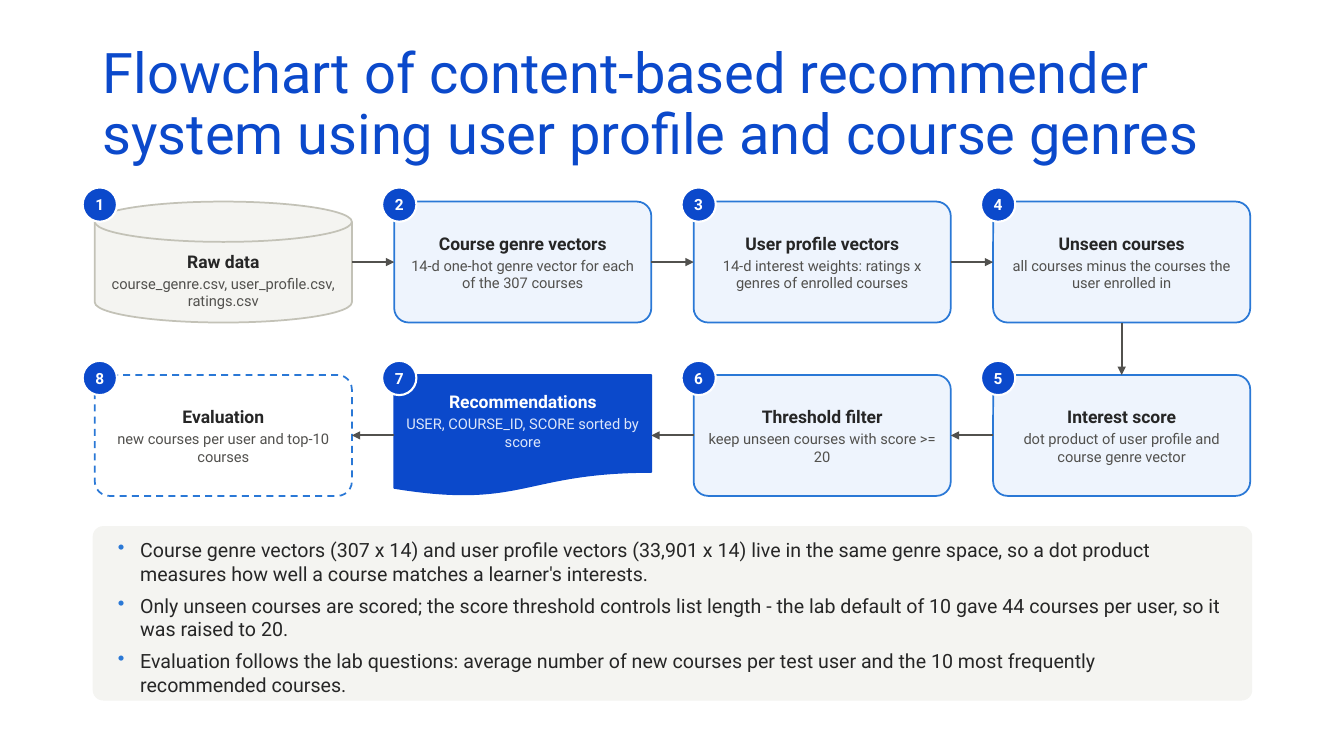
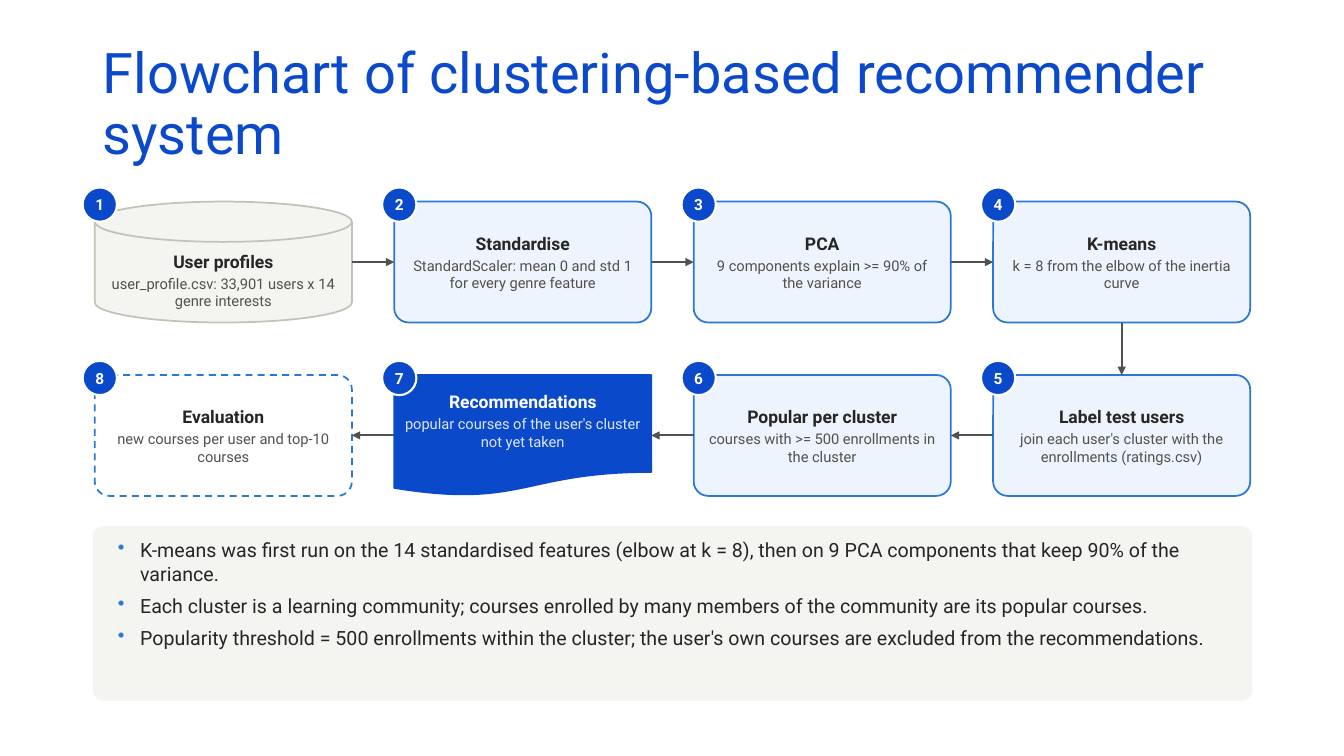
from dataclasses import dataclass
from typing import Optional

from lxml.etree import SubElement
from pptx import Presentation
from pptx.dml.color import RGBColor
from pptx.enum.dml import MSO_LINE
from pptx.enum.shapes import MSO_CONNECTOR as Connector, MSO_SHAPE as Shape
from pptx.enum.text import MSO_ANCHOR as Anchor, MSO_AUTO_SIZE as AutoSize, PP_ALIGN as Align
from pptx.oxml.ns import qn
from pptx.util import Inches, Pt

# Shared look
FONT = "Roboto"
BLUE = RGBColor(0x0B, 0x49, 0xCB)
MID_BLUE = RGBColor(0x2A, 0x78, 0xD6)
PALE_BLUE = RGBColor(0xEE, 0xF4, 0xFD)
LIGHT_BLUE = RGBColor(0xDC, 0xE6, 0xFA)
WHITE = RGBColor(0xFF, 0xFF, 0xFF)
OFF_WHITE = RGBColor(0xF4, 0xF4, 0xF1)
STONE = RGBColor(0xC3, 0xC2, 0xB7)
GREY = RGBColor(0x52, 0x51, 0x4E)
INK = RGBColor(0x26, 0x26, 0x26)

# Grid of steps, in inches
COLUMNS = 4
LEFT, TOP = 0.94, 2.0
STEP_WIDTH, STEP_HEIGHT = 2.55, 1.2
COLUMN_PITCH, ROW_PITCH = 2.97, 1.72
BADGE_SIZE = 0.34
CONTENT_LEFT, CONTENT_WIDTH = 0.92, 11.5


@dataclass(frozen=True)
class StepStyle:
    shape: Shape = Shape.ROUNDED_RECTANGLE
    fill: RGBColor = PALE_BLUE
    line: RGBColor = MID_BLUE
    heading: RGBColor = INK
    detail: RGBColor = GREY
    dashed: bool = False
    inset_top: float = 0.06
    inset_bottom: float = 0.06


@dataclass(frozen=True)
class Step:
    heading: str
    detail: str
    style: StepStyle = StepStyle()


@dataclass(frozen=True)
class Flowchart:
    title: str
    steps: list[Step]
    notes: list[str]


DATA = StepStyle(Shape.FLOWCHART_MAGNETIC_DISK, OFF_WHITE, STONE, inset_top=0.22)
RESULT = StepStyle(Shape.FLOWCHART_DOCUMENT, BLUE, BLUE, WHITE, LIGHT_BLUE, inset_bottom=0.12)
CHECK = StepStyle(fill=WHITE, dashed=True)
EVALUATION = Step("Evaluation", "new courses per user and top-10 courses", CHECK)

FLOWCHARTS = [
    Flowchart(
        "Flowchart of content-based recommender system using user profile and course genres",
        [
            Step("Raw data", "course_genre.csv, user_profile.csv, ratings.csv", DATA),
            Step("Course genre vectors", "14-d one-hot genre vector for each of the 307 courses"),
            Step("User profile vectors", "14-d interest weights: ratings x genres of enrolled courses"),
            Step("Unseen courses", "all courses minus the courses the user enrolled in"),
            Step("Interest score", "dot product of user profile and course genre vector"),
            Step("Threshold filter", "keep unseen courses with score >= 20"),
            Step("Recommendations", "USER, COURSE_ID, SCORE sorted by score", RESULT),
            EVALUATION,
        ],
        [
            "Course genre vectors (307 x 14) and user profile vectors (33,901 x 14) live in the same "
            "genre space, so a dot product measures how well a course matches a learner's interests.",
            "Only unseen courses are scored; the score threshold controls list length - the lab "
            "default of 10 gave 44 courses per user, so it was raised to 20.",
            "Evaluation follows the lab questions: average number of new courses per test user and "
            "the 10 most frequently recommended courses.",
        ],
    ),
    Flowchart(
        "Flowchart of clustering-based recommender system",
        [
            Step("User profiles", "user_profile.csv: 33,901 users x 14 genre interests", DATA),
            Step("Standardise", "StandardScaler: mean 0 and std 1 for every genre feature"),
            Step("PCA", "9 components explain >= 90% of the variance"),
            Step("K-means", "k = 8 from the elbow of the inertia curve"),
            Step("Label test users", "join each user's cluster with the enrollments (ratings.csv)"),
            Step("Popular per cluster", "courses with >= 500 enrollments in the cluster"),
            Step("Recommendations", "popular courses of the user's cluster not yet taken", RESULT),
            EVALUATION,
        ],
        [
            "K-means was first run on the 14 standardised features (elbow at k = 8), then on 9 PCA "
            "components that keep 90% of the variance.",
            "Each cluster is a learning community; courses enrolled by many members of the community "
            "are its popular courses.",
            "Popularity threshold = 500 enrollments within the cluster; the user's own courses are "
            "excluded from the recommendations.",
        ],
    ),
]


def write(para, text: str, size: float, color: RGBColor, bold: bool = False) -> None:
    para.text = text
    for span in para.runs:
        span.font.name = FONT
        span.font.size = Pt(size)
        span.font.bold = bold
        span.font.color.rgb = color


def set_insets(frame, side: float, top: float, bottom: float) -> None:
    frame.margin_left = frame.margin_right = Inches(side)
    frame.margin_top, frame.margin_bottom = Inches(top), Inches(bottom)


def add_shape(page, kind: Shape, left: float, top: float, width: float, height: float,
              fill: RGBColor, line: Optional[RGBColor] = None, weight: float = 1.25):
    shape = page.shapes.add_shape(kind, Inches(left), Inches(top), Inches(width), Inches(height))
    shape.shadow.inherit = False
    shape.fill.solid()
    shape.fill.fore_color.rgb = fill
    if line is None:
        shape.line.fill.background()
    else:
        shape.line.color.rgb = line
        shape.line.width = Pt(weight)
    return shape


def add_text_box(page, left: float, top: float, width: float, height: float):
    box = page.shapes.add_textbox(Inches(left), Inches(top), Inches(width), Inches(height))
    box.text_frame.word_wrap = True
    return box.text_frame


def add_title(page, title: str) -> None:
    para = add_text_box(page, CONTENT_LEFT, 0.4, CONTENT_WIDTH, 1.45).paragraphs[0]
    write(para, title, 40, BLUE)
    para.line_spacing = 0.9


def step_corner(index: int) -> tuple[float, float]:
    """The first row runs rightwards, the second one back to the left."""
    row, column = divmod(index, COLUMNS)
    if row % 2:
        column = COLUMNS - 1 - column
    return LEFT + column * COLUMN_PITCH, TOP + row * ROW_PITCH


def add_step(page, index: int, step: Step) -> None:
    left, top = step_corner(index)
    style = step.style
    box = add_shape(page, style.shape, left, top, STEP_WIDTH, STEP_HEIGHT, style.fill, style.line)
    if style.shape == Shape.ROUNDED_RECTANGLE:
        box.adjustments[0] = 0.12
    if style.dashed:
        box.line.dash_style = MSO_LINE.DASH

    frame = box.text_frame
    frame.word_wrap = True
    frame.vertical_anchor = Anchor.MIDDLE
    set_insets(frame, 0.1, style.inset_top, style.inset_bottom)
    heading, detail = frame.paragraphs[0], frame.add_paragraph()
    write(heading, step.heading, 12.5, style.heading, bold=True)
    write(detail, step.detail, 10.5, style.detail)
    heading.space_after = Pt(2)
    heading.alignment = detail.alignment = Align.CENTER

    # Number badge on the corner
    badge = add_shape(page, Shape.OVAL, left - 0.12, top - 0.14, BADGE_SIZE, BADGE_SIZE,
                      BLUE, WHITE, 1.5)
    badge.text_frame.vertical_anchor = Anchor.MIDDLE
    set_insets(badge.text_frame, 0, 0, 0)
    para = badge.text_frame.paragraphs[0]
    write(para, str(index + 1), 11, WHITE, bold=True)
    para.alignment = Align.CENTER


def add_arrow(page, index: int) -> None:
    """Join a step to the next one, edge to edge."""
    left, top = step_corner(index)
    next_left, next_top = step_corner(index + 1)
    middle_x, middle_y = left + STEP_WIDTH / 2, top + STEP_HEIGHT / 2
    if next_top > top:
        ends = (middle_x, top + STEP_HEIGHT, middle_x, next_top)
    elif next_left > left:
        ends = (left + STEP_WIDTH, middle_y, next_left, middle_y)
    else:
        ends = (left, middle_y, next_left + STEP_WIDTH, middle_y)
    arrow = page.shapes.add_connector(Connector.STRAIGHT, *(Inches(end) for end in ends))
    arrow.line.color.rgb = GREY
    arrow.line.width = Pt(1.5)
    SubElement(arrow.line._get_or_add_ln(), qn("a:tailEnd"), type="triangle")
    SubElement(arrow._element.spPr, qn("a:effectLst"))


def add_bullet(para) -> None:
    properties = para._p.get_or_add_pPr()
    properties.set("marL", str(Inches(0.22)))
    properties.set("indent", str(-Inches(0.22)))
    color = SubElement(properties, qn("a:buClr"))
    SubElement(color, qn("a:srgbClr"), val=str(MID_BLUE))
    SubElement(properties, qn("a:buChar"), char="•")


def add_notes_panel(page, notes: list[str]) -> None:
    panel = add_shape(page, Shape.ROUNDED_RECTANGLE, CONTENT_LEFT, 5.22, CONTENT_WIDTH, 1.73, OFF_WHITE)
    panel.adjustments[0] = 0.06
    frame = add_text_box(page, 1.17, 5.34, 11, 1.53)
    frame.auto_size = AutoSize.SHAPE_TO_FIT_TEXT
    set_insets(frame, 0, 0, 0)
    frame.text = "\n".join(notes)
    for para, note in zip(frame.paragraphs, notes):
        add_bullet(para)
        write(para, note, 14, INK)
        para.space_after = Pt(6)


def add_flowchart(deck, chart: Flowchart) -> None:
    page = deck.slides.add_slide(deck.slide_layouts[6])
    add_title(page, chart.title)
    for index, step in enumerate(chart.steps):
        add_step(page, index, step)
    for index in range(len(chart.steps) - 1):
        add_arrow(page, index)
    add_notes_panel(page, chart.notes)


def main() -> None:
    deck = Presentation()
    deck.slide_width, deck.slide_height = Inches(13.33), Inches(7.5)
    for chart in FLOWCHARTS:
        add_flowchart(deck, chart)
    deck.save("out.pptx")


if __name__ == "__main__":
    main()
